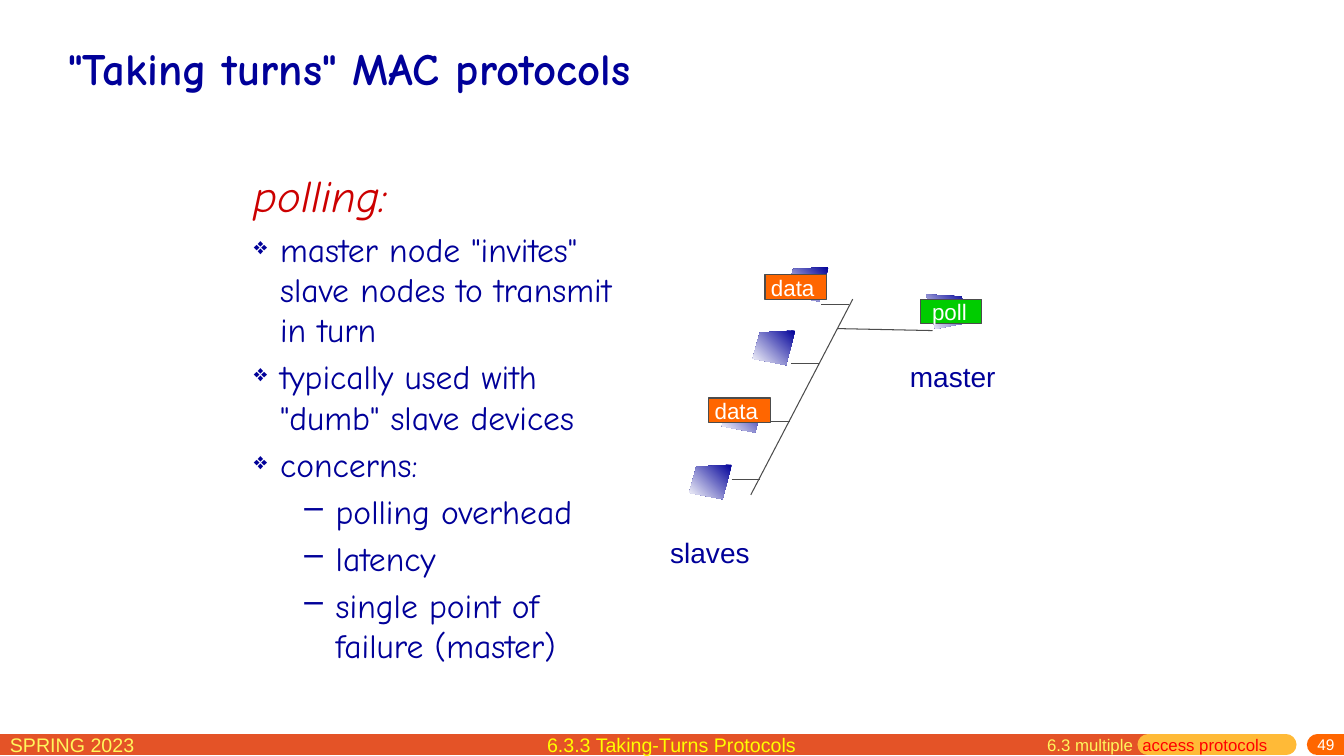
from lxml.etree import SubElement
from pptx import Presentation
from pptx.dml.color import RGBColor
from pptx.enum.shapes import MSO_CONNECTOR, MSO_SHAPE
from pptx.enum.text import MSO_ANCHOR, PP_ALIGN
from pptx.oxml.ns import qn
from pptx.util import Cm, Pt

# Content: places and lengths in centimetres
NAVY, RED, YELLOW, WHITE, GREY = "000099", "CC0000", "FFF65C", "FFFFFF", "4C4C4C"
ORANGE = "FF6600"
HAND, PLAIN = "Comic Neue", "Arial"

TITLE = '"Taking turns" MAC protocols'
HEADING = "polling:"
POINTS = [
    ("❖", 'master node "invites" slave nodes to transmit in turn'),
    ("❖", 'typically used with "dumb" slave devices'),
    ("❖", "concerns:"),
    ("–", "polling overhead"),
    ("–", "latency"),
    ("–", "single point of failure (master)"),
]
# bullet: left margin, hanging indent, bullet size in percent
BULLETS = {"❖": (0.66, 0.66, 70), "–": (2.06, 0.79, 100)}

FOOTER_Y = 18.77
FOOTER_BANDS = [  # start, end, colour, cap
    (0, 28.93, "E45327", "flat"),
    (28.93, 32.41, "FFBA37", "rnd"),
    (33.2, 34.54, ORANGE, "rnd"),
]

COMPUTER = [(1.07, 0), (0.18, 0.05), (0, 0.71), (0.84, 0.87)]
COMPUTER_WIDTH = 1.07
SLAVES = [(17.37, 11.71), (18.19, 10.03), (18.97, 8.33), (19.81, 6.73)]
MASTER = (23.34, 7.42)

BUS = (21.49, 7.54, 18.92, 12.47)
MASTER_LINK = (21.11, 8.28, 23.5, 8.33)
BRANCH_START, BRANCH_STEP, BRANCH_LENGTH = (18.44, 12.09), (0.75, -1.47), 0.71

TAGS = [  # text, left, top, fill, text inset
    ("poll", 23.19, 7.54, "00CC00", 0.3),
    ("data", 17.86, 10.03, ORANGE, 0.15),
    ("data", 19.28, 6.93, ORANGE, 0.15),
]
NODE_LABELS = [("master", 22.68, 8.94, 2.67), ("slaves", 16.64, 13.36, 2.51)]

deck = Presentation()
deck.slide_width, deck.slide_height = Cm(33.87), Cm(19.05)
page = deck.slides.add_slide(deck.slide_layouts[6])


def rgb(value):
    return RGBColor.from_string(value)


def write(para, text, size=14, color=NAVY, font=PLAIN, bold=False, italic=False):
    span = para.add_run()
    span.text = text
    span.font.size, span.font.name = Pt(size), font
    span.font.bold, span.font.italic = bold, italic
    span.font.color.rgb = rgb(color)


def text_box(left, top, width, height, text="", wrap=True, anchor=MSO_ANCHOR.TOP,
             align=PP_ALIGN.LEFT, **style):
    frame = page.shapes.add_textbox(Cm(left), Cm(top), Cm(width), Cm(height)).text_frame
    frame.word_wrap, frame.vertical_anchor = wrap, anchor
    para = frame.paragraphs[0]
    para.alignment = align
    if text:
        write(para, text, **style)
    return frame


def line(x1, y1, x2, y2, color=GREY, width=0.75, cap="flat"):
    connector = page.shapes.add_connector(
        MSO_CONNECTOR.STRAIGHT, Cm(x1), Cm(y1), Cm(x2), Cm(y2))
    connector.line.color.rgb = rgb(color)
    connector.line.width = Pt(width)
    properties = connector._element.spPr
    properties.find(qn("a:ln")).set("cap", cap)
    SubElement(properties, qn("a:effectLst"))


def computer(left, top, mirrored=False):
    corners = [(Cm(left + (COMPUTER_WIDTH - x if mirrored else x)), Cm(top + y))
               for x, y in COMPUTER]
    builder = page.shapes.build_freeform(*corners[0], scale=1.0)
    builder.add_line_segments(corners[1:], close=True)
    shape = builder.convert_to_shape()
    shape.shadow.inherit = False
    shape.line.fill.background()
    shape.fill.gradient()
    shape.fill.gradient_angle = 225
    for stop, color in zip(shape.fill.gradient_stops, (NAVY, WHITE)):
        stop.color.rgb = rgb(color)


def add_bullet(para, mark):
    margin, hanging, percent = BULLETS[mark]
    properties = para._p.get_or_add_pPr()
    properties.set("marL", str(Cm(margin)))
    properties.set("indent", str(-Cm(hanging)))
    SubElement(properties, qn("a:buSzPct"), val=str(percent * 1000))
    SubElement(properties, qn("a:buChar"), char=mark)


# Footer
for start, end, color, cap in FOOTER_BANDS:
    line(start, FOOTER_Y, end, FOOTER_Y, color, 15, cap)
text_box(0, 18.34, 5.82, 0.79, "SPRING 2023", color=YELLOW)
text_box(11.02, 18.34, 11.81, 0.86, "6.3.3 Taking-Turns Protocols",
         align=PP_ALIGN.CENTER, color="FFFF00")
chapter = text_box(26.14, 18.39, 6.2, 0.79).paragraphs[0]
write(chapter, "6.3 multiple  ", size=12, color=YELLOW)
write(chapter, "access protocols", size=12, color="FF0000")
number = text_box(27.3, 18.59, 6.58, 0.46, "49", anchor=MSO_ANCHOR.MIDDLE,
                  align=PP_ALIGN.RIGHT, size=11, color=WHITE)
number.margin_top = 0

# Title and bullet list
text_box(1.47, 0.71, 30.94, 2.01, TITLE, anchor=MSO_ANCHOR.MIDDLE,
         size=32, font=HAND, bold=True)
body = text_box(6.15, 4.11, 9.6, 14.07, HEADING, size=32, color=RED,
                font=HAND, italic=True)
for mark, text in POINTS:
    para = body.add_paragraph()
    add_bullet(para, mark)
    para.space_before = Pt(4.8)
    write(para, text, size=24, font=HAND)

# Network: computers, bus and branches
for left, top in SLAVES:
    computer(left, top)
computer(*MASTER, mirrored=True)
line(*BUS)
line(*MASTER_LINK)
for index in range(len(SLAVES)):
    x, y = (start + index * step for start, step in zip(BRANCH_START, BRANCH_STEP))
    line(x, y, x + BRANCH_LENGTH, y)

# Node labels and message tags
for text, left, top, width in NODE_LABELS:
    text_box(left, top, width, 1.09, text, wrap=False, size=20)
for text, left, top, color, inset in TAGS:
    tag = page.shapes.add_shape(MSO_SHAPE.RECTANGLE, Cm(left), Cm(top), Cm(1.55), Cm(0.61))
    tag.shadow.inherit = False
    tag.fill.solid()
    tag.fill.fore_color.rgb = rgb(color)
    tag.line.color.rgb = rgb(GREY)
    tag.line.width = Pt(0.75)
    frame = tag.text_frame
    frame.margin_left = Cm(inset)
    frame.margin_top = frame.margin_right = frame.margin_bottom = 0
    frame.vertical_anchor = MSO_ANCHOR.MIDDLE
    frame.paragraphs[0].alignment = PP_ALIGN.LEFT
    write(frame.paragraphs[0], text, size=16, color=WHITE)

deck.save("out.pptx")
